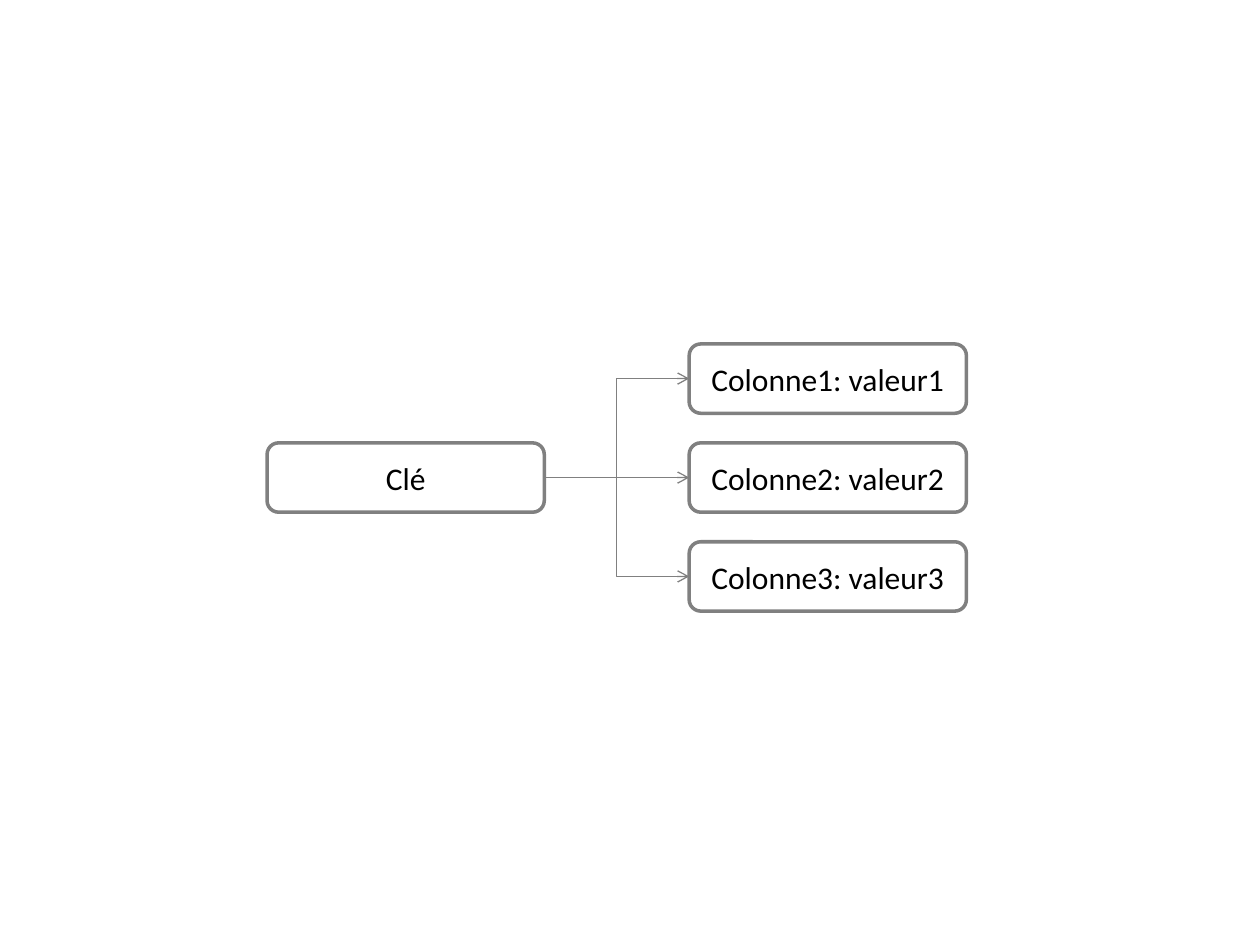
from lxml import etree
from pptx import Presentation
from pptx.dml.color import RGBColor
from pptx.enum.shapes import MSO_CONNECTOR, MSO_SHAPE
from pptx.enum.text import MSO_ANCHOR, PP_ALIGN
from pptx.oxml.ns import qn
from pptx.util import Inches, Pt

COLORS = {"fill": "FFFFFF", "line": "808080", "text": "000000"}
NODE_WIDTH, NODE_HEIGHT = 2.2, 0.55
LEFT_SITE, RIGHT_SITE = 1, 3


def rgb(name):
    return RGBColor.from_string(COLORS[name])


def add_node(slide, left, top, label):
    node = slide.shapes.add_shape(
        MSO_SHAPE.ROUNDED_RECTANGLE,
        *map(Inches, (left, top, NODE_WIDTH, NODE_HEIGHT)))
    node.shadow.inherit = False
    node.fill.solid()
    node.fill.fore_color.rgb = rgb("fill")
    node.line.color.rgb = rgb("line")
    node.line.width = Pt(2)
    frame = node.text_frame
    frame.word_wrap = True
    frame.vertical_anchor = MSO_ANCHOR.MIDDLE
    paragraph = frame.paragraphs[0]
    paragraph.alignment = PP_ALIGN.CENTER
    run = paragraph.add_run()
    run.text = label
    run.font.name = "Calibri"
    run.font.size = Pt(18)
    run.font.color.rgb = rgb("text")
    return node


def add_arrow(slide, source, target):
    arrow = slide.shapes.add_connector(MSO_CONNECTOR.ELBOW, 0, 0, 0, 0)
    arrow.begin_connect(source, RIGHT_SITE)
    arrow.end_connect(target, LEFT_SITE)
    arrow.line.color.rgb = rgb("line")
    arrow.line.width = Pt(0.75)
    etree.SubElement(arrow.line._get_or_add_ln(), qn("a:tailEnd"), type="arrow")
    etree.SubElement(arrow._element.spPr, qn("a:effectLst"))


def add_key_tree(slide, left, top, width, height, key, columns):
    key_node = add_node(slide, left, top + (height - NODE_HEIGHT) / 2, key)
    pitch = (height - NODE_HEIGHT) / (len(columns) - 1)
    column_left = left + width - NODE_WIDTH
    column_nodes = [add_node(slide, column_left, top + row * pitch, label)
                    for row, label in enumerate(columns)]
    for column_node in column_nodes:
        add_arrow(slide, key_node, column_node)


prs = Presentation()
prs.slide_width, prs.slide_height = Inches(10), Inches(7.5)
slide = prs.slides.add_slide(prs.slide_layouts[6])
add_key_tree(slide, 2.12, 2.73, 5.55, 2.12, "Clé",
             [f"Colonne{n}: valeur{n}" for n in range(1, 4)])
prs.save("out.pptx")
